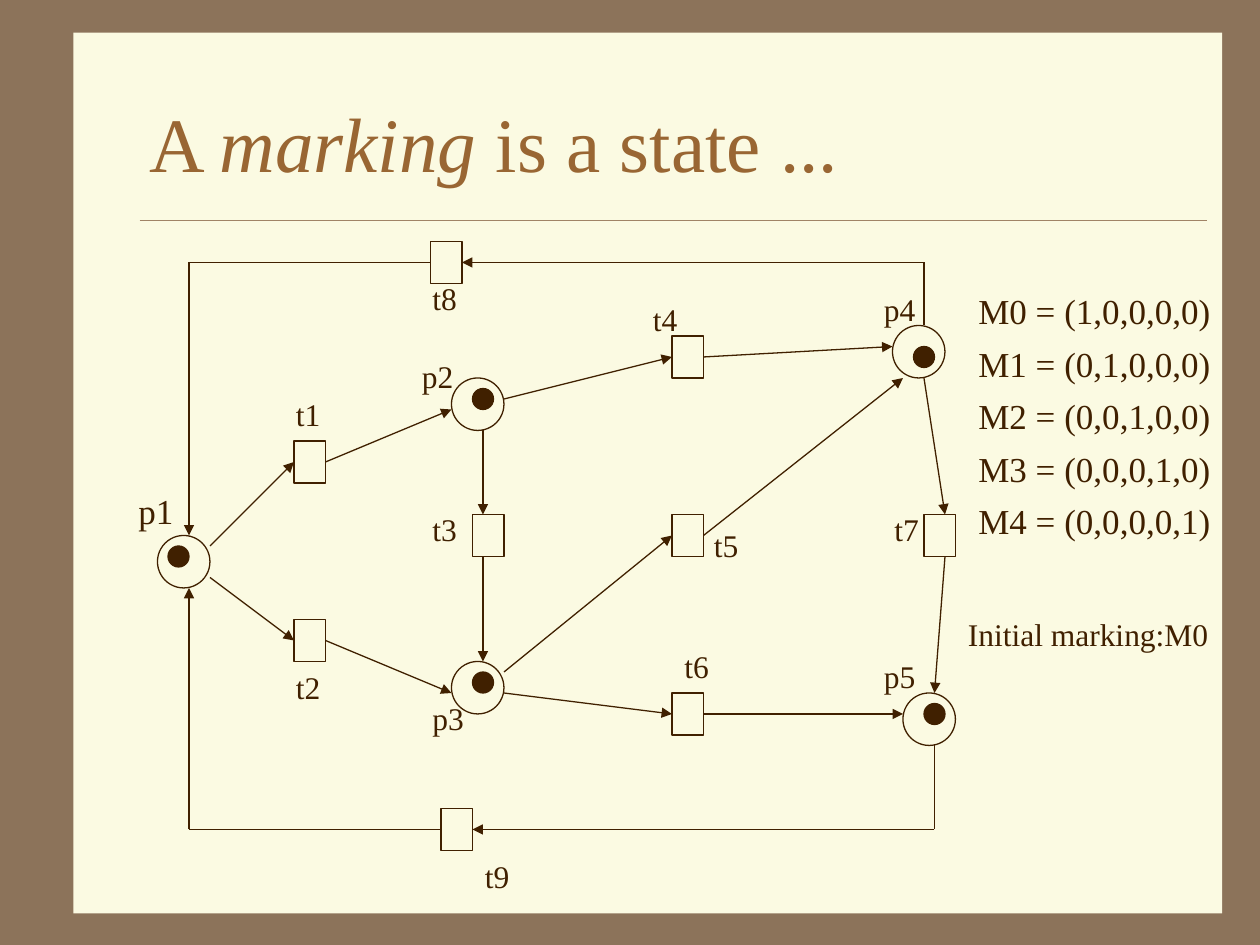
from lxml import etree
from pptx import Presentation
from pptx import util as u
from pptx.dml.color import RGBColor
from pptx.enum import shapes, text
from pptx.oxml import ns

THEME = {
    "frame": RGBColor.from_string("8C735A"),
    "paper": RGBColor.from_string("FBFAE2"),
    "rule": RGBColor.from_string("A08366"),
    "title": RGBColor.from_string("996633"),
    "ink": RGBColor.from_string("402000"),
    "font": "Times New Roman",
    "title_size": u.Pt(44),
    "large_size": u.Pt(20),
    "label_size": u.Pt(18),
    "line_width": u.Pt(0.75),
    "rule_width": u.Pt(0.25),
}
GRID = 2.54 / 12  # the drawing sits on a grid of twelve steps to the inch
LEFT, RIGHT = 1, 3

presentation = Presentation()
presentation.slide_width, presentation.slide_height = u.Cm(25.4), u.Cm(19.05)
slide = presentation.slides.add_slide(presentation.slide_layouts[5])
slide.background.fill.solid()
slide.background.fill.fore_color.rgb = THEME["frame"]


def grid(*steps):
    """Turn grid steps into lengths."""
    return [u.Cm(step * GRID) for step in steps]


def add_figure(kind, box, fill=None, line=None):
    """Add a preset shape; without a fill or line colour that part is empty."""
    shape = slide.shapes.add_shape(kind, *grid(*box))
    shape.shadow.inherit = False
    if fill is None:
        shape.fill.background()
    else:
        shape.fill.solid()
        shape.fill.fore_color.rgb = fill
    if line is None:
        shape.line.fill.background()
    else:
        shape.line.color.rgb = line
        shape.line.width = THEME["line_width"]
    return shape


# Paper and title
add_figure(shapes.MSO_SHAPE.RECTANGLE, (7, 3.1, 109.4, 83.9), fill=THEME["paper"])

title = slide.shapes.title
title.element.getparent().append(title.element)  # in front of the paper
title.left, title.top, title.width, title.height = grid(13, 6, 102, 15)
title_frame = title.text_frame
frame_format = {"vertical_anchor": text.MSO_ANCHOR.MIDDLE,
                "auto_size": text.MSO_AUTO_SIZE.NONE, "word_wrap": True}
for name, value in frame_format.items():
    setattr(title_frame, name, value)
title_paragraph = title_frame.paragraphs[0]
title_paragraph.alignment = text.PP_ALIGN.LEFT
for words, italic in [("A ", False), ("marking ", True), ("is a state ...", False)]:
    run = title_paragraph.add_run()
    run.text = words
    run_format = {"name": THEME["font"], "size": THEME["title_size"], "italic": italic}
    for name, value in run_format.items():
        setattr(run.font, name, value)
    run.font.color.rgb = THEME["title"]

# Places with their tokens: corner of the circle, corner of the token
places = [
    ((15, 51), (16, 52)),
    ((43, 36), (45, 37)),
    ((43, 63), (45, 64)),
    ((85, 31), (87, 33)),
    ((86, 66), (88, 67)),
]
for place, token in places:
    add_figure(shapes.MSO_SHAPE.OVAL, (*place, 5, 5), line=THEME["ink"])
    add_figure(shapes.MSO_SHAPE.OVAL, (*token, 2, 2), THEME["ink"], THEME["ink"])

# Transitions
transition_corners = {
    "t1": (28, 42), "t2": (28, 59), "t3": (45, 49),
    "t4": (64, 32), "t5": (64, 49), "t6": (64, 66),
    "t7": (88, 49), "t8": (41, 23), "t9": (42, 77),
}
transitions = {
    name: add_figure(shapes.MSO_SHAPE.RECTANGLE, (*corner, 3, 4), line=THEME["ink"])
    for name, corner in transition_corners.items()
}

# Arcs: each end is a grid point or a side of a transition
arrows = [
    ((20, 52), ("t1", LEFT)), (("t1", RIGHT), (43, 39)),
    ((20, 55), ("t2", LEFT)), (("t2", RIGHT), (43, 66)),
    ((46, 41), (46, 49)), ((46, 53), (46, 63)),
    ((48, 38), ("t4", LEFT)), (("t4", RIGHT), (85, 33)),
    ((48, 64), ("t5", LEFT)), (("t5", RIGHT), (86, 36)),
    ((48, 66), ("t6", LEFT)), (("t6", RIGHT), (86, 68)),
    ((88, 36), (90, 49)), ((90, 53), (89, 66)),
    ((88, 25), ("t8", RIGHT)), ((18, 25), (18, 51)),
    ((89, 79), ("t9", RIGHT)), ((18, 79), (18, 56)),
]
plain_lines = [
    ((88, 31), (88, 25)), (("t8", LEFT), (18, 25)),
    ((89, 71), (89, 79)), (("t9", LEFT), (18, 79)),
]
title_rule = ((13.3, 21), (115, 21))
for begin, end in [title_rule] + arrows + plain_lines:
    begin_joined, end_joined = begin[0] in transitions, end[0] in transitions
    begin_point = (0, 0) if begin_joined else begin
    end_point = (0, 0) if end_joined else end
    connector = slide.shapes.add_connector(
        shapes.MSO_CONNECTOR.STRAIGHT, *grid(*begin_point, *end_point))
    if begin_joined:
        connector.begin_connect(transitions[begin[0]], begin[1])
    if end_joined:
        connector.end_connect(transitions[end[0]], end[1])
    is_rule = (begin, end) == title_rule
    connector.line.color.rgb = THEME["rule" if is_rule else "ink"]
    connector.line.width = THEME["rule_width" if is_rule else "line_width"]
    if (begin, end) in arrows:
        etree.SubElement(connector.get_or_add_ln(), ns.qn("a:tailEnd"), type="triangle")
    etree.SubElement(connector.element.spPr, ns.qn("a:effectLst"))

# Labels: words, left, top, width, height, size
labels = [("p1", 12, 46, 5.8, 5.3, "large_size")]
label_corners = {
    "t1": (27, 37), "t2": (27, 63), "t3": (40, 48), "t4": (61, 28), "t5": (66.8, 49.5),
    "t6": (64, 61), "t7": (84, 48), "t8": (40, 26), "t9": (45, 81),
    "p2": (39, 33.4), "p3": (40, 66), "p4": (83, 27), "p5": (83, 62),
}
for name, corner in label_corners.items():
    labels.append((name, *corner, 4.7 if name in transitions else 5.4, 4.8, "label_size"))
for index in range(5):
    vector = ",".join("1" if place == index else "0" for place in range(5))
    labels.append((f"M{index} = ({vector})", 92, 27 + 5 * index, 24.5, 5.3, "large_size"))
labels.append(("Initial marking:M0", 91, 58, 25.3, 4.8, "label_size"))

for words, left, top, width, height, size in labels:
    box = slide.shapes.add_textbox(*grid(left, top, width, height))
    box_format = {"text": words, "word_wrap": False,
                  "auto_size": text.MSO_AUTO_SIZE.SHAPE_TO_FIT_TEXT}
    for name, value in box_format.items():
        setattr(box.text_frame, name, value)
    font = box.text_frame.paragraphs[0].runs[0].font
    for name, value in {"name": THEME["font"], "size": THEME[size]}.items():
        setattr(font, name, value)
    font.color.rgb = THEME["ink"]

presentation.save("out.pptx")
